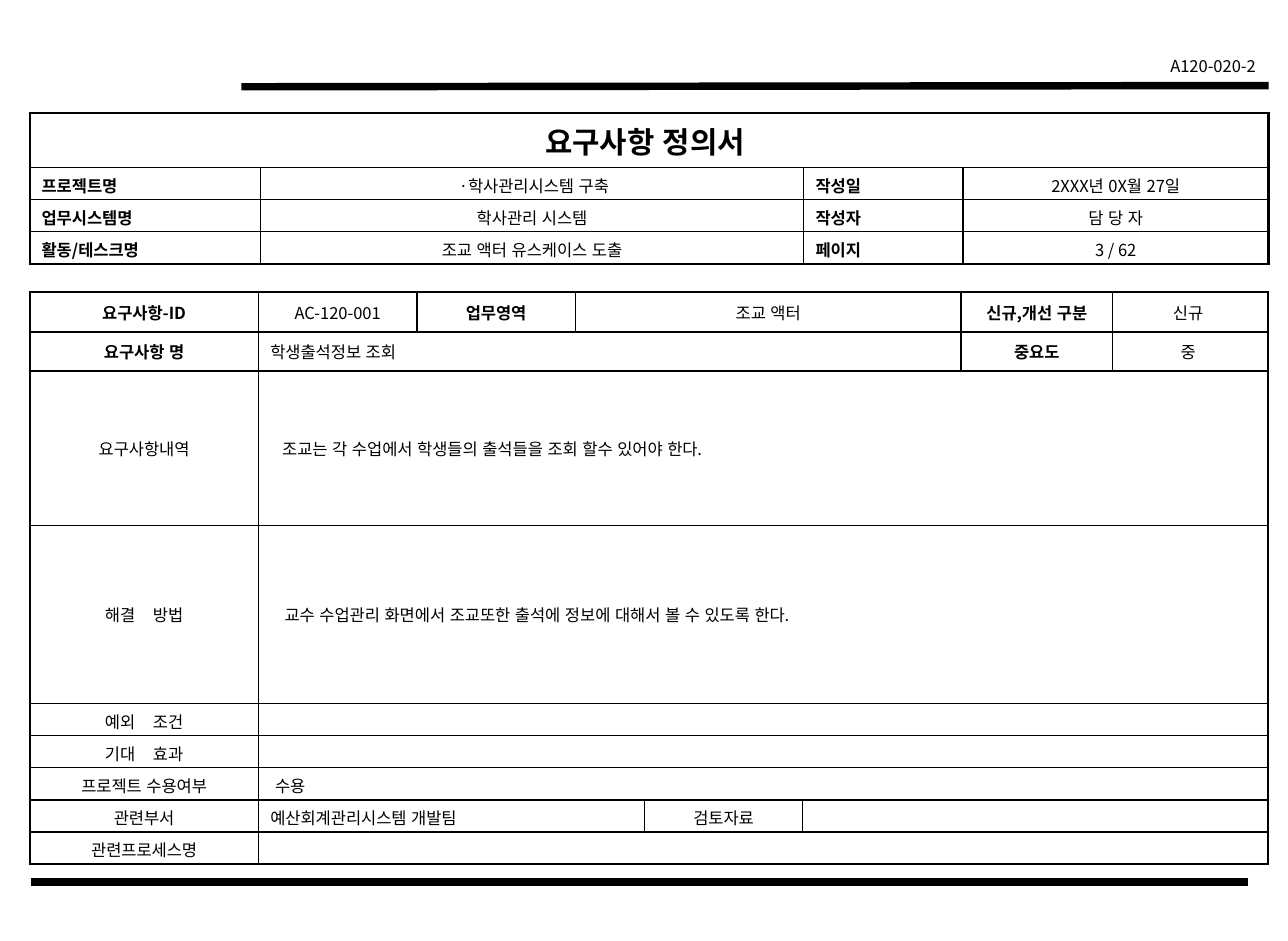
"""Build a requirements definition sheet with a header table and a detail table."""
from lxml import etree
from pptx import Presentation, util as u
from pptx.dml.color import RGBColor
from pptx.enum import lang, shapes, text as t
from pptx.oxml import ns

theme = dict(ink="000000", font="Noto Sans CJK KR", body=10, title=18,
             thin=1, thick=1.5, bar=4.5, plain="{2D5ABB26-0587-4C30-8999-92F81FD0307C}")
ink = RGBColor.from_string(theme["ink"])
left, wide = 0.25, 10.42
aligns = dict(c=t.PP_ALIGN.CENTER, l=t.PP_ALIGN.LEFT, r=t.PP_ALIGN.RIGHT, j=t.PP_ALIGN.JUSTIFY)


def put(frame, words, size=theme["body"], bold=False, align="c", gap=0):
    """Write one paragraph; gap widens its first space by that many points."""
    para = frame.paragraphs[0]
    para.alignment = aligns[align]
    para.space_before = u.Pt(size * 0.2)
    for part in words.partition(" ") if gap else [words]:
        if part:
            run = para.add_run()
            run.text, font = part, run.font
            font.size, font.bold, font.name = u.Pt(size), bold, theme["font"]
            font.color.rgb, font.language_id = ink, lang.MSO_LANGUAGE_ID.KOREAN
            props = run._r.get_or_add_rPr()
            etree.SubElement(props, ns.qn("a:ea"), typeface=theme["font"])
            if part == " ":
                props.set("spc", str(gap * 100))
    if not words:
        etree.SubElement(para._p, ns.qn("a:endParaRPr"), sz=str(size * 100))


def edge(cell, side, width):
    """Draw one border of a cell."""
    line = etree.SubElement(cell._tc.get_or_add_tcPr(), ns.qn("a:ln" + side), w=str(u.Pt(width)))
    fill = etree.SubElement(line, ns.qn("a:solidFill"))
    etree.SubElement(fill, ns.qn("a:srgbClr"), val=theme["ink"])


deck = Presentation()
deck.slide_width, deck.slide_height = u.Pt(780), u.Pt(570)
page = deck.slides.add_slide(deck.slide_layouts[6])

for ends in [(2.03, 0.73, left + wide, 0.72), (0.26, 7.42, 10.5, 7.42)]:
    bar = page.shapes.add_connector(shapes.MSO_CONNECTOR.STRAIGHT, *map(u.Inches, ends))
    bar.line.color.rgb, bar.line.width = ink, u.Pt(theme["bar"])
    etree.SubElement(bar._element.spPr, ns.qn("a:effectLst"))

code = page.shapes.add_textbox(*map(u.Inches, (9.58, 0.42, 1.08, 0.27))).text_frame
code.word_wrap = True
put(code, "A120-020-2", align="r")

name, mark = dict(bold=True, align="j"), dict(bold=True)
note, wider = dict(align="l"), dict(gap=8)
head = [
    [("요구사항 정의서 ", 4, dict(size=theme["title"], bold=True))],
    [("프로젝트명", 1, name), (" ·학사관리시스템 구축", 1, {}),
     ("작성일", 1, name), ("2XXX년 0X월 27일", 1, {})],
    [("업무시스템명 ", 1, name), ("학사관리 시스템", 1, {}),
     ("작성자", 1, name), ("담 당 자", 1, {})],
    [("활동/테스크명", 1, name), ("조교 액터 유스케이스 도출", 1, {}),
     ("페이지", 1, name), ("3 / 62", 1, {})],
]
body = [
    [("요구사항-ID", 1, mark), ("AC-120-001", 1, {}), ("업무영역", 1, mark),
     ("조교 액터", 3, {}), ("신규,개선 구분", 1, mark), ("신규 ", 1, {})],
    [("요구사항 명", 1, mark), ("학생출석정보 조회", 5, note),
     ("중요도", 1, mark), ("중 ", 1, {})],
    [("요구사항내역", 1, {}),
     ("조교는 각 수업에서 학생들의 출석들을 조회 할수 있어야 한다.", 7, note)],
    [("해결 방법", 1, wider),
     ("교수 수업관리 화면에서 조교또한 출석에 정보에 대해서 볼 수 있도록 한다.", 7, note)],
    [("예외 조건", 1, wider), ("", 7, {})],
    [("기대 효과", 1, wider), ("", 7, {})],
    [("프로젝트 수용여부", 1, {}), ("수용", 7, note)],
    [("관련부서", 1, {}), ("예산회계관리시스템 개발팀", 3, note),
     ("검토자료", 1, {}), ("", 3, {})],
    [("관련프로세스명", 1, {}), ("", 7, {})],
]
indents = {"조교는": 0.1, "교수": 0.12, "수용": 0.04}
grids = [
    (head, 0.95, [1.94, 4.57, 1.34, 2.57], [0.46] + [0.27] * 3, {0, 4}, {0}),
    (body, 2.46, [1.92, 1.33, 1.33, 0.58, 1.33, 1.33, 1.27, 1.31],
     [0.33, 0.33, 1.3, 1.5] + [0.27] * 5, {0, 1, 2, 9}, set(range(9))),
]
for rows, top, cols, highs, heavy, middle in grids:
    area = map(u.Inches, (left, top, wide, sum(highs)))
    table = page.shapes.add_table(len(highs), len(cols), *area).table
    table._tbl.tblPr.find(ns.qn("a:tableStyleId")).text = theme["plain"]
    table.first_row = table.horz_banding = False
    for col, width in zip(table.columns, cols):
        col.width = u.Inches(width * wide / sum(cols))
    for row, high in zip(table.rows, highs):
        row.height = u.Inches(high)
    for r, row in enumerate(rows):
        c = 0
        for words, span, style in row:
            end = c + span
            sides = dict(L=c == 0, R=end == len(cols), T=r in heavy, B=r + 1 in heavy)
            for k in range(c, end):
                cell = table.cell(r, k)
                for side, thick in sides.items():
                    if not (side == "L" and k > c or side == "R" and c < k < end - 1):
                        edge(cell, side, theme["thick" if thick else "thin"])
                cell.fill.background()
                put(cell.text_frame, words if k == c else "", **style)
            cell = table.cell(r, c)
            cell.vertical_anchor = t.MSO_ANCHOR.MIDDLE if r in middle else t.MSO_ANCHOR.TOP
            cell.margin_left = u.Inches(0.1 + indents.get(words.split(" ")[0], 0))
            if span > 1:
                cell.merge(table.cell(r, end - 1))
            c = end

deck.save("out.pptx")
